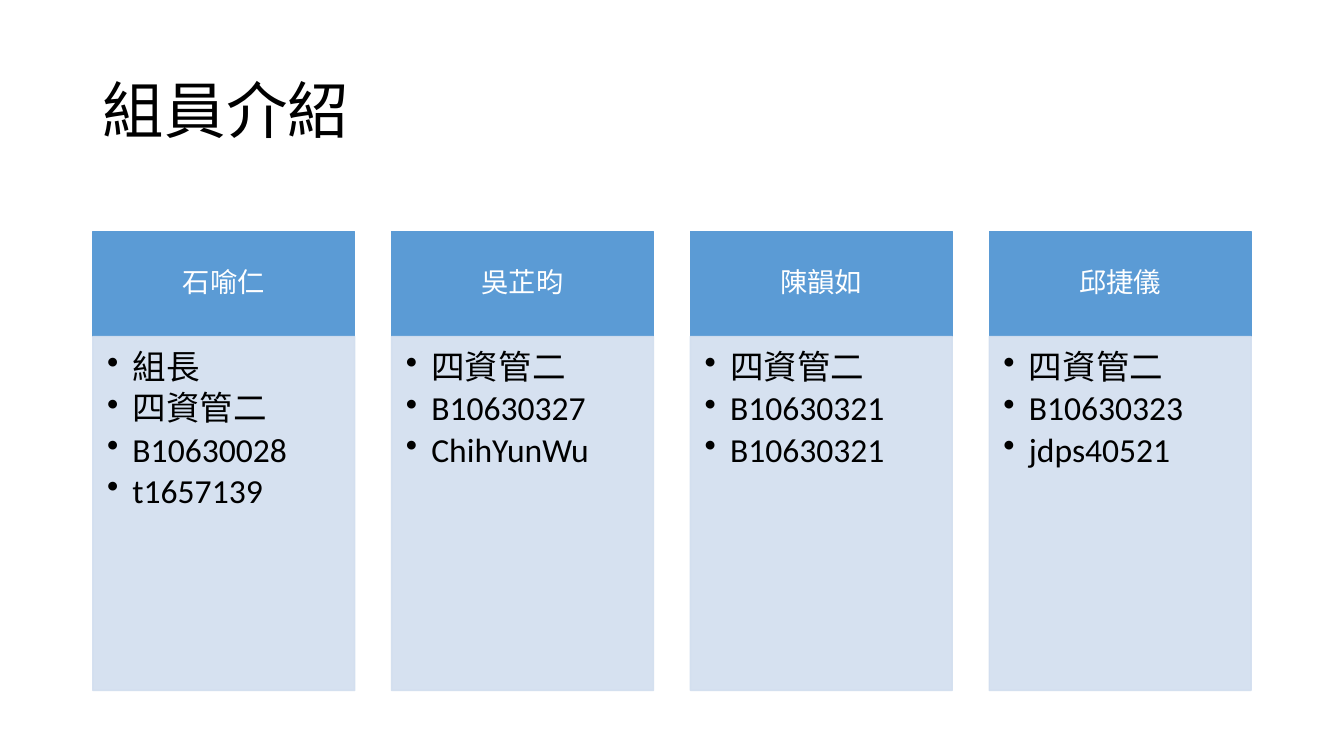
from dataclasses import dataclass

from lxml import etree
from pptx import Presentation
from pptx.dml.color import RGBColor
from pptx.enum import shapes, text
from pptx.oxml import ns
from pptx.util import Cm, Pt

FONT = "Calibri"
BLUE, PALE, BLACK, WHITE = "5B9BD5", "D2DEEF", "000000", "FFFFFF"
LEFT, PITCH, WIDTH = 2.34, 7.53, 6.6
HEADER_TOP, HEADER_HEIGHT, BODY_HEIGHT = 5.84, 2.64, 8.92


@dataclass
class Member:
    name: str
    details: list[str]


@dataclass
class BoxStyle:
    color: str
    opacity: int
    text_color: str
    size: float
    space_after: float
    align: text.PP_ALIGN
    frame: dict
    bullets: bool = False


HEADER = BoxStyle(BLUE, 100, WHITE, 19.5, 0, text.PP_ALIGN.CENTER, {
    "margin_left": Cm(0.41), "margin_right": Cm(0.41),
    "margin_top": Cm(0.23), "margin_bottom": Cm(0.23),
    "vertical_anchor": text.MSO_ANCHOR.MIDDLE, "word_wrap": True,
})
BODY = BoxStyle(PALE, 90, BLACK, 24, 3.5, text.PP_ALIGN.LEFT, {
    "margin_left": Cm(0.36), "margin_right": Cm(0.48),
    "margin_top": Cm(0.36), "margin_bottom": Cm(0.53),
    "vertical_anchor": text.MSO_ANCHOR.TOP, "word_wrap": True,
}, bullets=True)

MEMBERS = [
    Member("石喻仁", ["組長", "四資管二", "B10630028", "t1657139"]),
    Member("吳芷昀", ["四資管二", "B10630327", "ChihYunWu"]),
    Member("陳韻如", ["四資管二", "B10630321", "B10630321"]),
    Member("邱捷儀", ["四資管二", "B10630323", "jdps40521"]),
]


def rgb(value: str) -> RGBColor:
    return RGBColor.from_string(value)


def apply(target, values: dict) -> None:
    for key, value in values.items():
        setattr(target, key, value)


def write(p, words: str, size: float, color: str, align, after: float = 0) -> None:
    apply(p, {"alignment": align, "line_spacing": 0.9,
              "space_before": Pt(0), "space_after": Pt(after)})
    r = p.add_run()
    r.text = words
    apply(r.font, {"name": FONT, "size": Pt(size)})
    r.font.color.rgb = rgb(color)


def add_bullet(p) -> None:
    props = p._p.get_or_add_pPr()
    props.set("marL", str(Cm(0.64)))
    props.set("indent", str(-Cm(0.64)))
    etree.SubElement(props, ns.qn("a:buChar"), char="•")


def add_box(s, left: float, top: float, height: float,
            lines: list[str], style: BoxStyle) -> None:
    sp = s.shapes.add_shape(shapes.MSO_SHAPE.RECTANGLE,
                            Cm(left), Cm(top), Cm(WIDTH), Cm(height))
    sp.shadow.inherit = False
    sp.fill.solid()
    sp.fill.fore_color.rgb = rgb(style.color)
    sp.line.color.rgb = rgb(style.color)
    sp.line.width = Pt(1)
    if style.opacity < 100:
        for color in sp._element.spPr.iter(ns.qn("a:srgbClr")):
            etree.SubElement(color, ns.qn("a:alpha"), val=str(style.opacity * 1000))

    tf = sp.text_frame
    apply(tf, style.frame)
    for i, line in enumerate(lines):
        p = tf.add_paragraph() if i else tf.paragraphs[0]
        write(p, line, style.size, style.text_color, style.align, style.space_after)
        if style.bullets:
            add_bullet(p)


def main() -> None:
    prs = Presentation()
    apply(prs, {"slide_width": Cm(33.87), "slide_height": Cm(19.05)})
    s = prs.slides.add_slide(prs.slide_layouts.get_by_name("Title Only"))

    # Title
    title = s.shapes.title
    apply(title, {"left": Cm(LEFT), "top": Cm(1.02),
                  "width": Cm(29.21), "height": Cm(3.68)})
    title.text_frame.vertical_anchor = text.MSO_ANCHOR.MIDDLE
    write(title.text_frame.paragraphs[0], "組員介紹", 44, BLACK, text.PP_ALIGN.LEFT)

    # One column per member
    for i, member in enumerate(MEMBERS):
        left = LEFT + i * PITCH
        add_box(s, left, HEADER_TOP, HEADER_HEIGHT, [member.name], HEADER)
        add_box(s, left, HEADER_TOP + HEADER_HEIGHT, BODY_HEIGHT, member.details, BODY)

    prs.save("out.pptx")


if __name__ == "__main__":
    main()
